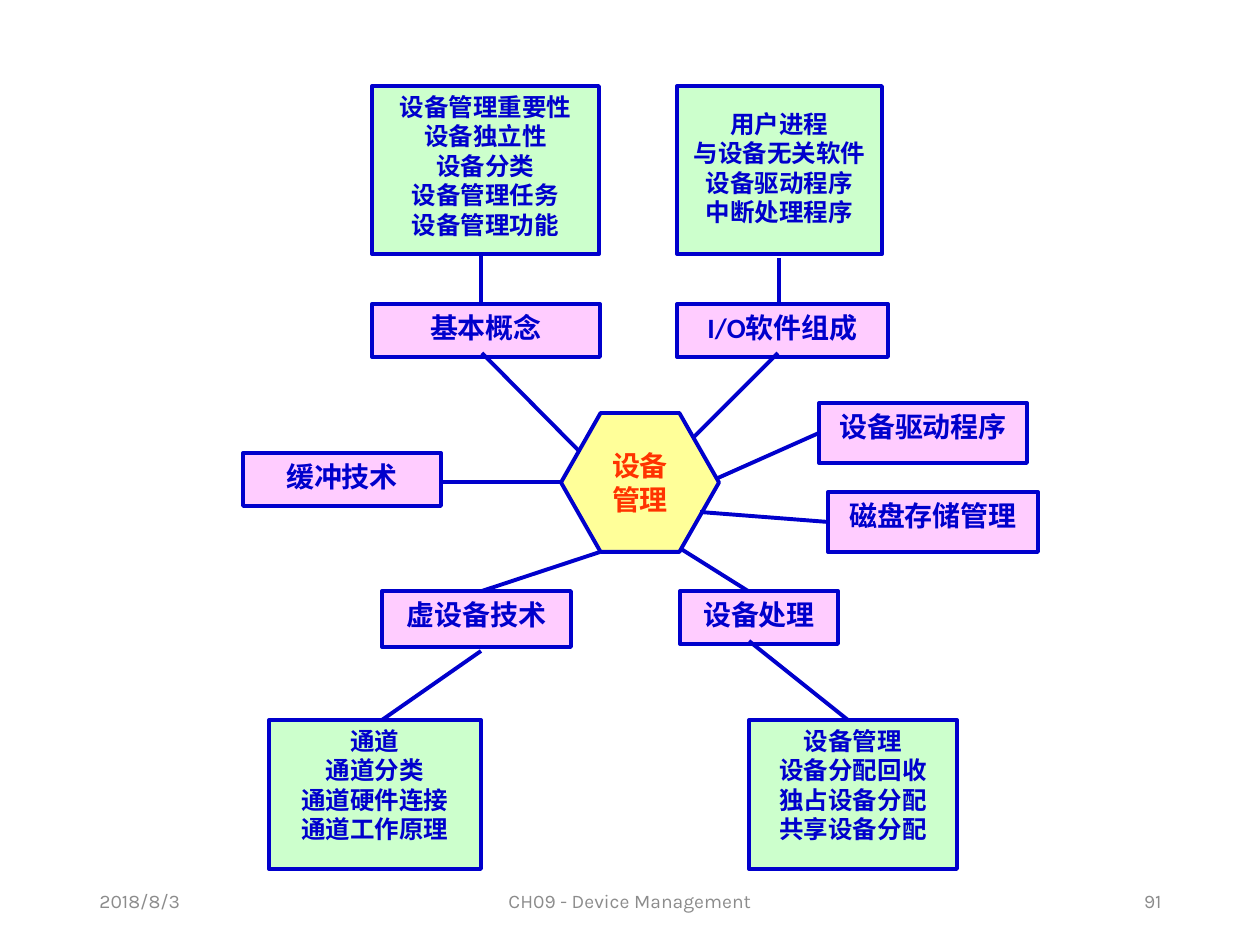
from pptx import Presentation
from pptx import util as u
from pptx.dml.color import RGBColor
from pptx.enum import shapes, text
from pptx.oxml.ns import qn
from lxml import etree

PX = 914400 / 126
BLUE, GREEN, PINK = "0000CC", "CCFFCC", "FFCCFF"
YELLOW, RED, GREY = "FFFF99", "FF3300", "8C8C8C"
CENTER = text.PP_ALIGN.CENTER


def px(*lengths):
    return [u.Emu(round(length * PX)) for length in lengths]


def color(value):
    return RGBColor.from_string(value)


def write(shape, lines, size, font, ink, align=CENTER, bold=True):
    frame = shape.text_frame
    frame.text = "\n".join(lines)
    for para in frame.paragraphs:
        para.alignment = align
        para.font.size = u.Pt(size)
        para.font.name = font
        para.font.bold = bold
        para.font.color.rgb = color(ink)


def add_node(page, place, fill, kind=shapes.MSO_SHAPE.RECTANGLE):
    node = page.shapes.add_shape(kind, *px(*place))
    node.shadow.inherit = False
    node.fill.solid()
    node.fill.fore_color.rgb = color(fill)
    node.line.color.rgb = color(BLUE)
    node.line.width = u.Pt(2.25)
    node.text_frame.word_wrap = True
    node.text_frame.vertical_anchor = text.MSO_ANCHOR.TOP
    return node


def add_detail(page, place, lines, top_margin=6):
    node = add_node(page, place, GREEN)
    node.text_frame.margin_top = px(top_margin)[0]
    write(node, lines, 14, "Calibri", BLUE)


def add_topic(page, place, label):
    write(add_node(page, place, PINK), [label], 16, "Calibri", BLUE)


def add_hub(page, place, lines):
    hub = add_node(page, place, YELLOW, shapes.MSO_SHAPE.HEXAGON)
    hub.adjustments[0] = 0.285
    hub.text_frame.word_wrap = False
    hub.text_frame.vertical_anchor = text.MSO_ANCHOR.MIDDLE
    write(hub, lines, 16, "Arial", RED)


def add_link(page, *ends):
    link = page.shapes.add_connector(shapes.MSO_CONNECTOR.STRAIGHT, *px(*ends))
    link.line.color.rgb = color(BLUE)
    link.line.width = u.Pt(2.25)
    etree.SubElement(link._element.spPr, qn("a:effectLst"))


def add_footer(page, left, width, label, align):
    box = page.shapes.add_textbox(*px(left, 876, width, 50))
    box.text_frame.word_wrap = True
    box.text_frame.vertical_anchor = text.MSO_ANCHOR.MIDDLE
    write(box, [label], 11, "Karla", GREY, align, bold=False)


def main():
    deck = Presentation()
    deck.slide_width, deck.slide_height = px(1260, 945)
    page = deck.slides.add_slide(deck.slide_layouts[6])

    # Footer
    add_footer(page, 87, 284, "2018/8/3", text.PP_ALIGN.LEFT)
    add_footer(page, 417, 426, "CH09 - Device Management", CENTER)
    add_footer(page, 890, 284, "91", text.PP_ALIGN.RIGHT)

    # Detail boxes
    add_detail(page, (372, 86, 227, 168),
               ["设备管理重要性", "设备独立性", "设备分类", "设备管理任务", "设备管理功能"])
    add_detail(page, (677, 86, 205, 168),
               ["用户进程", "与设备无关软件", "设备驱动程序", "中断处理程序"], top_margin=23)
    add_detail(page, (269, 720, 212, 149),
               ["通道", "通道分类", "通道硬件连接", "通道工作原理"])
    add_detail(page, (749, 720, 208, 149),
               ["设备管理", "设备分配回收", "独占设备分配", "共享设备分配"])

    # Topics on the left and right
    for place, label in [
        ((372, 304, 228, 53), "基本概念"),
        ((677, 304, 211, 53), "I/O软件组成"),
        ((243, 453, 198, 53), "缓冲技术"),
        ((680, 591, 158, 53), "设备处理"),
        ((382, 591, 189, 56), "虚设备技术"),
    ]:
        add_topic(page, place, label)

    # Links that run under the hub
    for ends in [
        (482, 353, 581, 453), (778, 353, 689, 442),
        (482, 591, 600, 552), (748, 591, 670, 542),
        (560, 482, 441, 482), (709, 482, 819, 433),
        (481, 254, 481, 304), (779, 258, 779, 304),
    ]:
        add_link(page, *ends)

    add_topic(page, (819, 403, 208, 60), "设备驱动程序")
    add_hub(page, (561, 413, 158, 139), ["设备", "管理"])

    # Links over the hub and to the lower details
    for ends in [
        (481, 651, 382, 720), (749, 641, 848, 720), (700, 512, 828, 522),
    ]:
        add_link(page, *ends)
    add_topic(page, (828, 492, 210, 60), "磁盘存储管理")

    deck.save("out.pptx")


if __name__ == "__main__":
    main()
